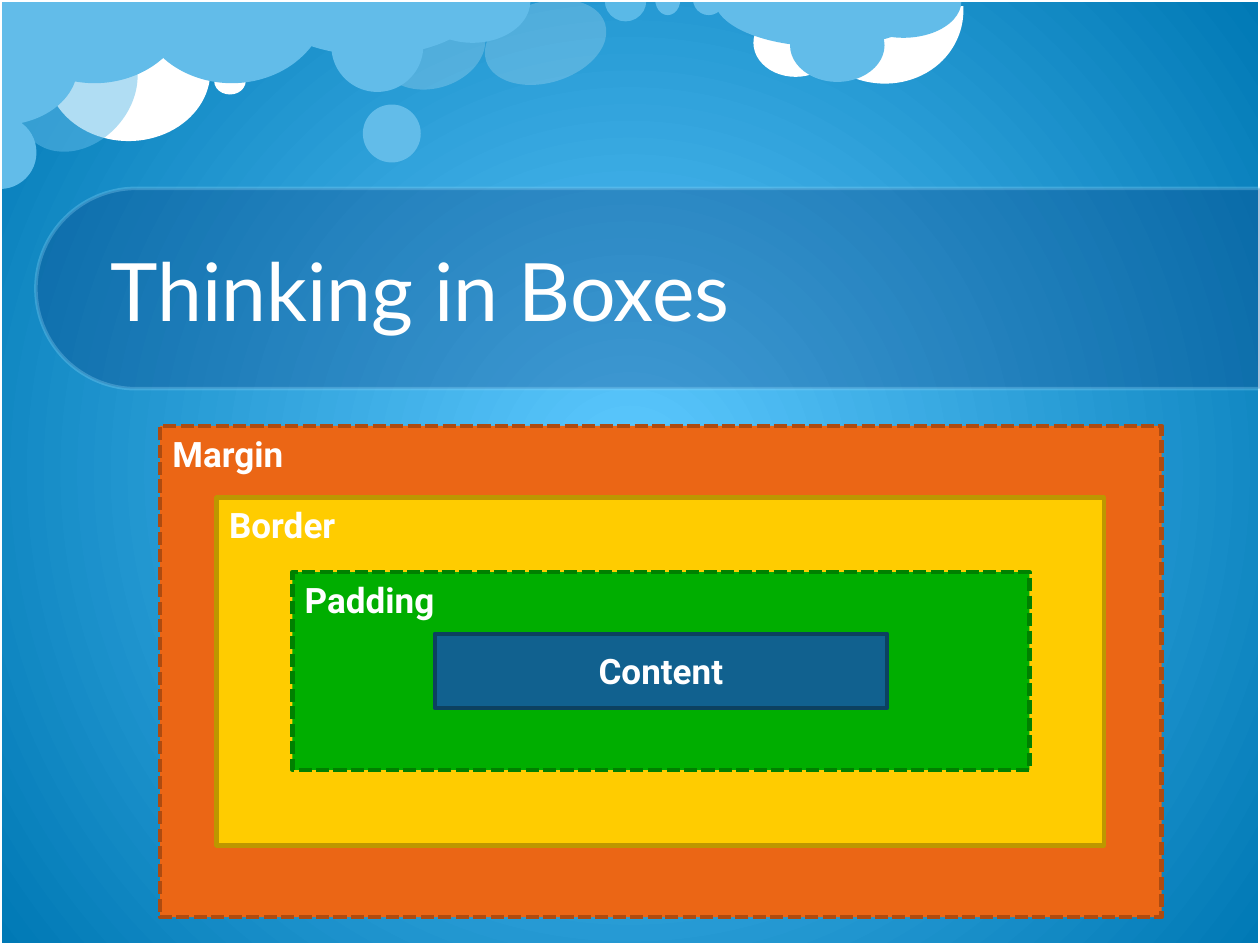
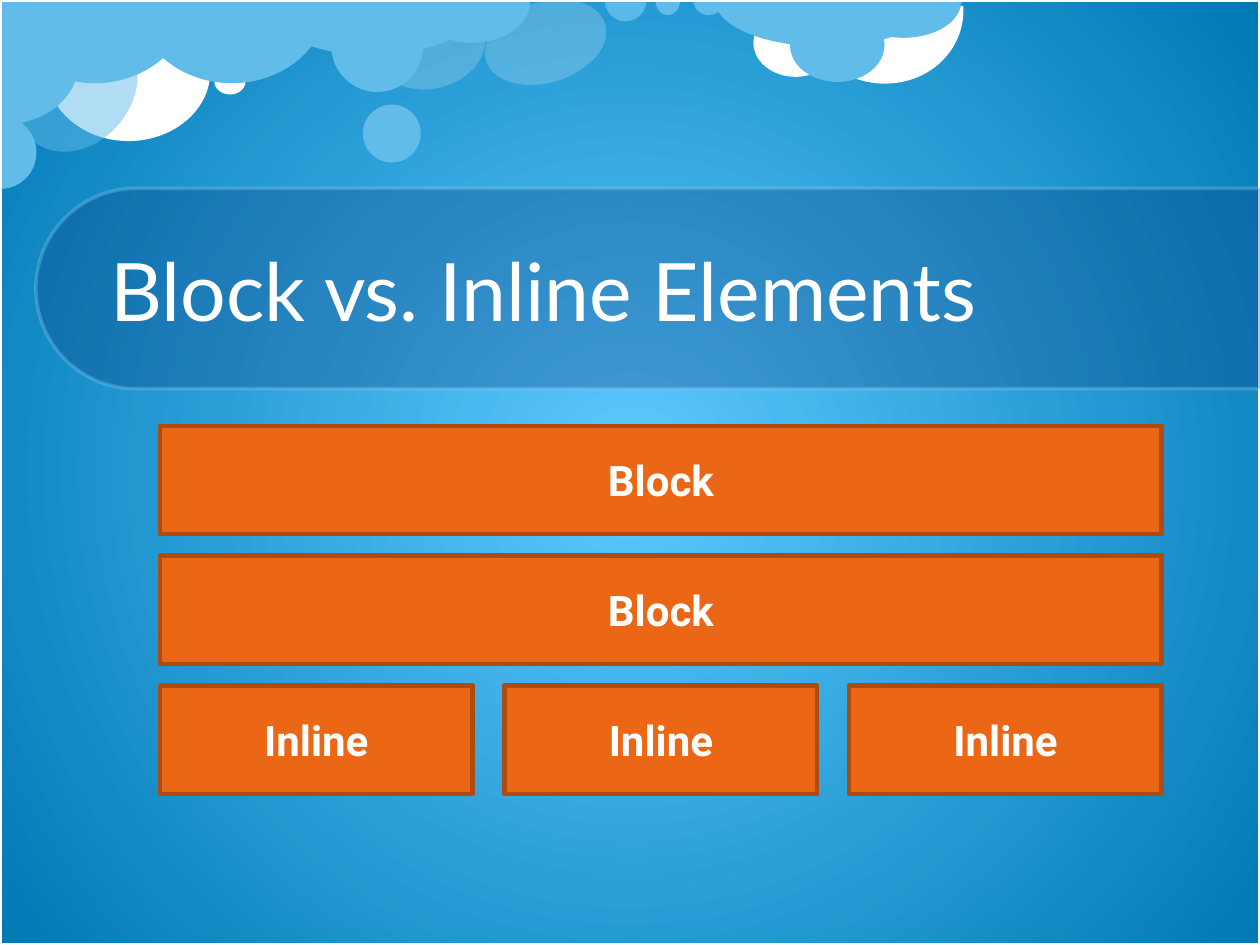
from dataclasses import dataclass

import lxml.etree
import pptx
import pptx.dml.color
import pptx.enum.dml
import pptx.enum.shapes
import pptx.enum.text
import pptx.oxml.ns
import pptx.util

Inches = pptx.util.Inches
Pt = pptx.util.Pt
RGB = pptx.dml.color.RGBColor.from_string
qn = pptx.oxml.ns.qn
SHAPE = pptx.enum.shapes.MSO_SHAPE
ALIGN = pptx.enum.text.PP_ALIGN
ANCHOR = pptx.enum.text.MSO_ANCHOR


@dataclass(frozen=True)
class Theme:
    glow: str = "5DC9FF"
    sky: str = "0079B5"
    cloud: str = "62BCE9"
    pale: str = "8FD9FB"
    band: str = "073779"
    white: str = "FFFFFF"
    orange: str = "EB6615"
    rust: str = "AE4B10"
    yellow: str = "FFCC00"
    ochre: str = "BD9700"
    green: str = "00AE00"
    forest: str = "008000"
    blue: str = "11618F"
    navy: str = "0C4160"
    title_font: str = "Lato"
    label_font: str = "Roboto"
    title_size: float = 46
    title_spacing: float = 56
    label_size: float = 20
    block_size: float = 24
    thin: float = 2
    thick: float = 2.5


T = Theme()


def add_shape(s, kind, at, fill=None, line=None, width=T.thick, dashed=False,
              alpha=100, rot=0, adj=()):
    """Add a preset shape; alpha (percent) applies to both fill and line."""
    sp = s.shapes.add_shape(kind, *(Inches(v) for v in at))
    sp.shadow.inherit = False
    sp.rotation = rot
    for i, value in enumerate(adj):
        sp.adjustments[i] = value
    if fill:
        sp.fill.solid()
        sp.fill.fore_color.rgb = RGB(fill)
    else:
        sp.fill.background()
    if line:
        sp.line.color.rgb = RGB(line)
        sp.line.width = Pt(width)
        if dashed:
            sp.line.dash_style = pptx.enum.dml.MSO_LINE.SQUARE_DOT
    else:
        sp.line.fill.background()
    if alpha < 100:
        for clr in sp.element.spPr.iter(qn("a:srgbClr")):
            lxml.etree.SubElement(clr, qn("a:alpha"), val=str(alpha * 1000))
    return sp


def write(sp, text, size=T.label_size, font=T.label_font, bold=True,
          align=ALIGN.CENTER, anchor=ANCHOR.MIDDLE, spacing=None):
    tf = sp.text_frame
    tf.word_wrap = True
    tf.vertical_anchor = anchor
    p = tf.paragraphs[0]
    p.alignment = align
    if spacing:
        p.line_spacing = Pt(spacing)
    r = p.add_run()
    r.text = text
    r.font.size = Pt(size)
    r.font.name = font
    r.font.bold = bold
    r.font.color.rgb = RGB(T.white)


HALF = (0, 108)  # lower half of a pie
OVAL, PIE, ARC = SHAPE.OVAL, SHAPE.PIE, SHAPE.ARC

# kind, position, colour, opacity, rotation, adjustments
clouds = [
    (OVAL, (3.11, -0.05, 0.64, 0.86), T.white, 20, 72.8, ()),
    (OVAL, (0.37, 0.01, 1.3, 1.11), T.white, 100, 0, ()),
    (ARC, (6.39, -0.6, 1.21, 1.31), T.white, 100, 106.5, (151.8, 44.48)),
    (OVAL, (5.98, 0.07, 0.67, 0.54), T.white, 100, 0, ()),
    (PIE, (-0.01, -0.66, 1.52, 1.32), T.cloud, 100, 0, HALF),
    (PIE, (2.08, -0.44, 1.75, 0.88), T.cloud, 100, 0, HALF),
    (OVAL, (2.88, 0.83, 0.46, 0.46), T.cloud, 100, 0, ()),
    (OVAL, (0.19, 0.18, 0.85, 1.07), T.cloud, 50, 41.8, ()),
    (PIE, (-0.29, 0.92, 0.58, 0.58), T.cloud, 100, 270, HALF),
    (OVAL, (1.7, 0.54, 0.25, 0.21), T.white, 100, 0, ()),
    (PIE, (1.08, -0.66, 1.52, 1.32), T.cloud, 100, 0, HALF),
    (PIE, (5.67, -0.38, 1.75, 0.75), T.cloud, 100, 0, HALF),
    (OVAL, (6.27, 0.07, 0.75, 0.58), T.cloud, 100, 0, ()),
    (PIE, (6.71, -0.28, 0.92, 0.58), T.cloud, 100, 0, HALF),
    (OVAL, (4.01, -0.16, 0.64, 0.99), T.white, 20, 72.8, ()),
    (PIE, (4.8, -0.16, 0.33, 0.33), T.pale, 50, 0, HALF),
    (PIE, (5.2, -0.13, 0.2, 0.25), T.cloud, 100, 0, HALF),
    (PIE, (5.5, -0.13, 0.25, 0.25), T.cloud, 100, 0, HALF),
    (OVAL, (2.63, 0, 0.73, 0.73), T.cloud, 100, 0, ()),
    (PIE, (3.29, -0.33, 0.92, 0.67), T.cloud, 100, 0, HALF),
    (PIE, (-0.47, -0.09, 0.93, 1.24), T.cloud, 100, 270, HALF),
]

prs = pptx.Presentation()
prs.slide_width = Inches(10)
prs.slide_height = Inches(7.5)

# Shared sky, clouds, frame and title band
slides = []
for title in ("Thinking in Boxes", "Block vs. Inline Elements"):
    s = prs.slides.add_slide(prs.slide_layouts[6])
    slides.append(s)
    fill = s.background.fill
    fill.gradient()
    for stop, color, position in zip(fill.gradient_stops, (T.glow, T.sky), (0, 1)):
        stop.color.rgb = RGB(color)
        stop.position = position
    grad = s.element.find(".//" + qn("a:gradFill"))
    radial = lxml.etree.Element(qn("a:path"), path="circle")
    lxml.etree.SubElement(radial, qn("a:fillToRect"),
                          {side: "50000" for side in "ltrb"})
    grad.replace(grad.find(qn("a:lin")), radial)

    for kind, at, color, alpha, rot, adj in clouds:
        add_shape(s, kind, at, color, alpha=alpha, rot=rot, adj=adj)
    add_shape(s, SHAPE.RECTANGLE, (0, 0, 10, 7.5), line=T.white, width=T.thin)
    add_shape(s, SHAPE.ROUND_2_SAME_RECTANGLE, (4.35, -2.57, 1.59, 9.72), T.band,
              T.pale, width=T.thin, alpha=30, rot=270, adj=(0.5, 0))
    heading = s.shapes.add_textbox(Inches(0.78), Inches(1.5), Inches(8.44), Inches(1.58))
    write(heading, title, size=T.title_size, font=T.title_font, bold=False,
          align=ALIGN.LEFT, spacing=T.title_spacing)

box_model, block_inline = slides
left, top, full_width = 1.27, 3.38, 7.95

# Box model, from the outside in
layers = [
    ("Margin", (left, top, full_width, 3.9), T.orange, T.rust, True),
    ("Border", (1.72, 3.95, 7.04, 2.76), T.yellow, T.ochre, False),
    ("Padding", (2.32, 4.54, 5.85, 1.57), T.green, T.forest, True),
]
for name, at, color, edge, dashed in layers:
    sp = add_shape(box_model, SHAPE.RECTANGLE, at, color, edge, dashed=dashed)
    write(sp, name, align=ALIGN.LEFT, anchor=ANCHOR.TOP)
content = add_shape(box_model, SHAPE.RECTANGLE, (3.45, 5.03, 3.59, 0.59), T.blue, T.navy)
write(content, "Content")

# Blocks fill a row each; inline elements share one
row_height, row_pitch, inline_width = 0.86, 1.03, 2.48
rows = [("Block", 1, full_width), ("Block", 1, full_width), ("Inline", 3, inline_width)]
for row, (name, count, width) in enumerate(rows):
    pitch = (full_width - width) / max(count - 1, 1)
    for col in range(count):
        at = (left + col * pitch, top + row * row_pitch, width, row_height)
        sp = add_shape(block_inline, SHAPE.RECTANGLE, at, T.orange, T.rust)
        write(sp, name, size=T.block_size)

prs.save("out.pptx")
